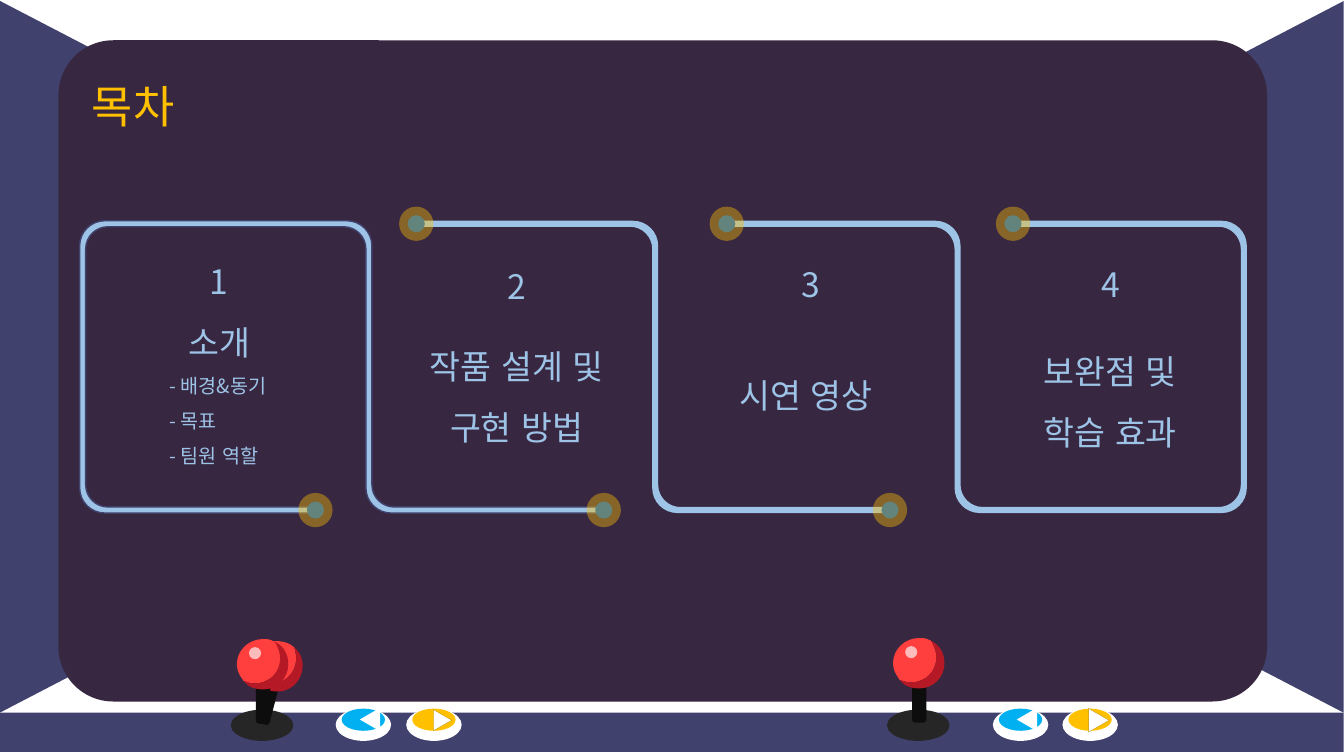
"""Build an arcade-style table of contents slide."""
import math
from lxml import etree
from pptx import Presentation
from pptx.dml.color import RGBColor
from pptx.enum import lang, shapes as kinds, text as txt
from pptx.oxml import parse_xml
from pptx.oxml.ns import qn
from pptx.util import Inches

PX = 9144
FONT = "Noto Sans CJK KR"
NS = 'xmlns:a="http://schemas.openxmlformats.org/drawingml/2006/main"'
NAVY, PLUM, SKY, GOLD, WHITE = "40416D", "382741", "9DC3E6", "FFC000", "FFFFFF"

TITLE = ("목차", (74, 73, 116, 64))
SECTIONS = [
    ((108, 234, 219, 298), 0, ["1", "소개"], ["- 배경&동기", "- 목표", "- 팀원 역할"]),
    ((403, 239, 219, 432), 14, ["2", "작품 설계 및", "구현 방법"], []),
    ((695, 237, 219, 404), 36, ["3", "시연 영상 "], []),
    ((992, 237, 219, 394), 19, ["4", "보완점 및", "학습 효과"], []),
]

TOP, BOTTOM = 222, 506
RIBBONS = [
    ([(315, BOTTOM), (82, BOTTOM), (82, TOP), (366, TOP), (366, BOTTOM), (600, BOTTOM)], NAVY),
    ([(414, TOP), (650, TOP), (650, BOTTOM), (883, BOTTOM)], None),
    ([(716, TOP), (950, TOP), (950, BOTTOM), (1234, BOTTOM), (1234, TOP), (1000, TOP)], None),
]
LAMPS = [(313, BOTTOM), (599, BOTTOM), (883, BOTTOM), (413, TOP), (721, TOP), (1005, TOP)]

BUTTONS = [(333, "◀", 18), (403, "▶", 16), (985, "◀", 18), (1054, "▶", 18)]
BUTTON_FILL = {"◀": "00B0F0", "▶": GOLD}
BASES = [229, 880]
JOYSTICKS = [(886, 633, 0), (250, 635, 15), (235, 634, 0)]
BALL_FRONT = [(26, 0), (29, 0, 33, 0, 36, 2), (37, 2), (39, 5), (41, 9, 43, 14, 43, 19),
              (43, 33, 32, 44, 18, 44), (14, 44, 11, 43, 8, 42), (7, 42), (5, 39),
              (2, 35, 0, 30, 0, 25), (0, 11, 12, 0, 26, 0)]
BALL_SHADE = [(37, 2), (40, 4), (47, 8, 51, 16, 51, 25), (51, 39, 40, 50, 26, 50),
              (19, 50, 12, 48, 8, 43), (7, 42), (8, 42), (11, 43, 14, 44, 18, 44),
              (32, 44, 43, 33, 43, 19), (43, 14, 41, 9, 39, 5), (37, 2)]


def rgb(color):
    """Turn a hex string into a colour."""
    return RGBColor.from_string(color)


def paint(shape, fill, line=None):
    """Give a shape a flat fill and an optional thin outline."""
    shape.shadow.inherit = False
    shape.fill.solid()
    shape.fill.fore_color.rgb = rgb(fill)
    if line:
        shape.line.color.rgb = rgb(line)
        shape.line.width = 12700
    else:
        shape.line.fill.background()
    return shape


def preset(slide, kind, box, fill, adjust=None, turn=0):
    """Add a preset shape from a box in px."""
    shape = slide.shapes.add_shape(kind, *(round(v * PX) for v in box))
    if adjust is not None:
        shape.adjustments[0] = adjust
    shape.rotation = turn
    return paint(shape, fill)


def outline(slide, segments, fill, line=None, x=0, y=0):
    """Add a closed freeform; six-number segments become cubic curves."""
    tenths = [[round(10 * (v + (y if i % 2 else x))) for i, v in enumerate(seg)] for seg in segments]
    builder = slide.shapes.build_freeform(*tenths[0], scale=PX / 10)
    builder.add_line_segments([seg[-2:] for seg in tenths[1:]], close=True)
    shape = builder.convert_to_shape()
    left, top = (min(seg[axis] for seg in tenths) for axis in (-2, -1))
    steps = list(shape._element.iter(qn("a:lnTo")))
    for step, seg in zip(steps, tenths[1:]):
        if len(seg) == 6:
            step.tag = qn("a:cubicBezTo")
            for i in (2, 0):
                pull = etree.Element(qn("a:pt"), x=str(seg[i] - left), y=str(seg[i + 1] - top))
                step.insert(0, pull)
    return paint(shape, fill, line)


def ribbon_edge(route, half=3):
    """Follow the right-hand edge of a right-angled route, rounding its corners."""
    ways = [((x2 > x1) - (x2 < x1), (y2 > y1) - (y2 < y1))
            for (x1, y1), (x2, y2) in zip(route, route[1:])]
    segments = []
    for i, (x, y) in enumerate(route):
        if i in (0, len(ways)):
            dx, dy = ways[min(i, len(ways) - 1)]
            segments.append((x - half * dy, y + half * dx))
            continue
        (ax, ay), (bx, by) = ways[i - 1], ways[i]
        cx, cy = x - half * (ay + by), y + half * (ax + bx)
        radius = 22 if ax * by - ay * bx > 0 else 25
        pull = 0.45 * radius
        segments += [(cx - radius * ax, cy - radius * ay),
                     (cx - pull * ax, cy - pull * ay, cx + pull * bx, cy + pull * by,
                      cx + radius * bx, cy + radius * by)]
    return segments


def joystick(slide, x, y, tilt):
    """Draw a stick with its ball, tilted about the ball."""
    stick = preset(slide, kinds.MSO_SHAPE.ROUNDED_RECTANGLE, (x + 19, y + 13, 14, 71), "0D0D0D", 0.227)
    front = outline(slide, BALL_FRONT, "FE3F3E", x=x, y=y)
    shade = outline(slide, BALL_SHADE, "B41925", x=x, y=y)
    shine = preset(slide, kinds.MSO_SHAPE.OVAL, (x + 12, y + 8, 12, 12), WHITE)
    etree.SubElement(shine._element.spPr.find(qn("a:solidFill"))[0], qn("a:alpha")).set("val", "65000")
    px, py = front.left + front.width / 2, front.top + front.height / 2
    cos, sin = math.cos(math.radians(tilt)), math.sin(math.radians(tilt))
    for part in (stick, front, shade, shine):
        dx, dy = part.left + part.width / 2 - px, part.top + part.height / 2 - py
        part.left = round(px + dx * cos - dy * sin - part.width / 2)
        part.top = round(py + dx * sin + dy * cos - part.height / 2)
        part.rotation = tilt


def style(paragraph, size, color, bold=False, spacing=None, before=0, indent=0):
    """Format a paragraph and its runs."""
    paragraph.alignment = txt.PP_ALIGN.LEFT if indent else txt.PP_ALIGN.CENTER
    paragraph.line_spacing = spacing
    paragraph.space_before = before * 12700
    props = paragraph._p.get_or_add_pPr()
    props.set("marL", str(indent * PX))
    props.set("indent", "0")
    etree.SubElement(props, qn("a:buNone"))
    for run in paragraph.runs:
        run.font.size, run.font.bold, run.font.name = size * 12700, bold, FONT
        run.font.language_id = lang.MSO_LANGUAGE_ID.KOREAN
        run.font.color.rgb = rgb(color)
        etree.SubElement(run._r.rPr, qn("a:ea")).set("typeface", FONT)


def write(slide, holder, box, lines):
    """Move a text holder to the front and fill it with lines."""
    holder.left, holder.top, holder.width, holder.height = (v * PX for v in box)
    slide.shapes._spTree.append(holder._element)
    frame = holder.text_frame
    frame.word_wrap = True
    frame.auto_size = txt.MSO_AUTO_SIZE.SHAPE_TO_FIT_TEXT
    frame.vertical_anchor = txt.MSO_ANCHOR.TOP
    frame.text = "\n".join(line for line, _ in lines)
    for paragraph, (_, looks) in zip(frame.paragraphs, lines):
        style(paragraph, **looks)


def main():
    """Draw the slide and save it."""
    deck = Presentation()
    deck.slide_width, deck.slide_height = Inches(40 / 3), 750 * PX
    slide = deck.slides.add_slide(deck.slide_layouts[1])
    title, body = slide.placeholders
    shape = kinds.MSO_SHAPE

    preset(slide, shape.RECTANGLE, (0, 707, 1333, 39), NAVY)
    for x, turn in ((-214, 90), (841, 270)):
        preset(slide, shape.TRAPEZOID, (x, 215, 706, 278), NAVY, 0.52, turn)
    preset(slide, shape.ROUNDED_RECTANGLE, (58, 40, 1199, 656), PLUM, 0.083)

    for x in BASES:
        preset(slide, shape.OVAL, (x, 704, 62, 31), "262626")
    for x, arrow, size in BUTTONS:
        preset(slide, shape.OVAL, (x, 703, 55, 32), WHITE)
        cap = preset(slide, shape.OVAL, (x + 6, 703, 43, 22), BUTTON_FILL[arrow])
        frame = cap.text_frame
        frame.word_wrap = False
        frame.margin_left = 16 * PX
        frame.margin_right = frame.margin_top = frame.margin_bottom = 0
        frame.vertical_anchor = txt.MSO_ANCHOR.MIDDLE
        frame.text = arrow
        style(frame.paragraphs[0], size, WHITE, bold=True)
        if arrow == "▶":
            frame.paragraphs[0].runs[0]._r.rPr.insert(0, parse_xml(
                f'<a:ln {NS} w="3175"><a:solidFill><a:srgbClr val="BF9000"/></a:solidFill></a:ln>'))
    for place in JOYSTICKS:
        joystick(slide, *place)

    for route, edge in RIBBONS:
        outline(slide, ribbon_edge(route) + ribbon_edge(route[::-1]), SKY, edge)
    for x, y in LAMPS:
        lamp = preset(slide, shape.OVAL, (x - 8.5, y - 8.5, 17, 17), "62847D")
        lamp._element.spPr.find(qn("a:effectLst")).append(parse_xml(
            f'<a:outerShdw {NS} blurRad="0" dist="0" dir="0" sx="200000" sy="200000" algn="ctr">'
            f'<a:srgbClr val="{GOLD}"><a:alpha val="40000"/></a:srgbClr></a:outerShdw>'))

    write(slide, title, TITLE[1], [(TITLE[0], dict(size=32, color=GOLD))])
    for i, (box, gap, heads, points) in enumerate(SECTIONS):
        holder = slide.shapes.add_textbox(0, 0, PX, PX) if i else body
        lines = [(head, dict(size=24, color=SKY, spacing=1.5, before=gap if n == 1 else 0))
                 for n, head in enumerate(heads)]
        lines += [(point, dict(size=14, color=SKY, spacing=1.5, indent=50)) for point in points]
        write(slide, holder, box, lines)
    deck.save("out.pptx")


if __name__ == "__main__":
    main()
